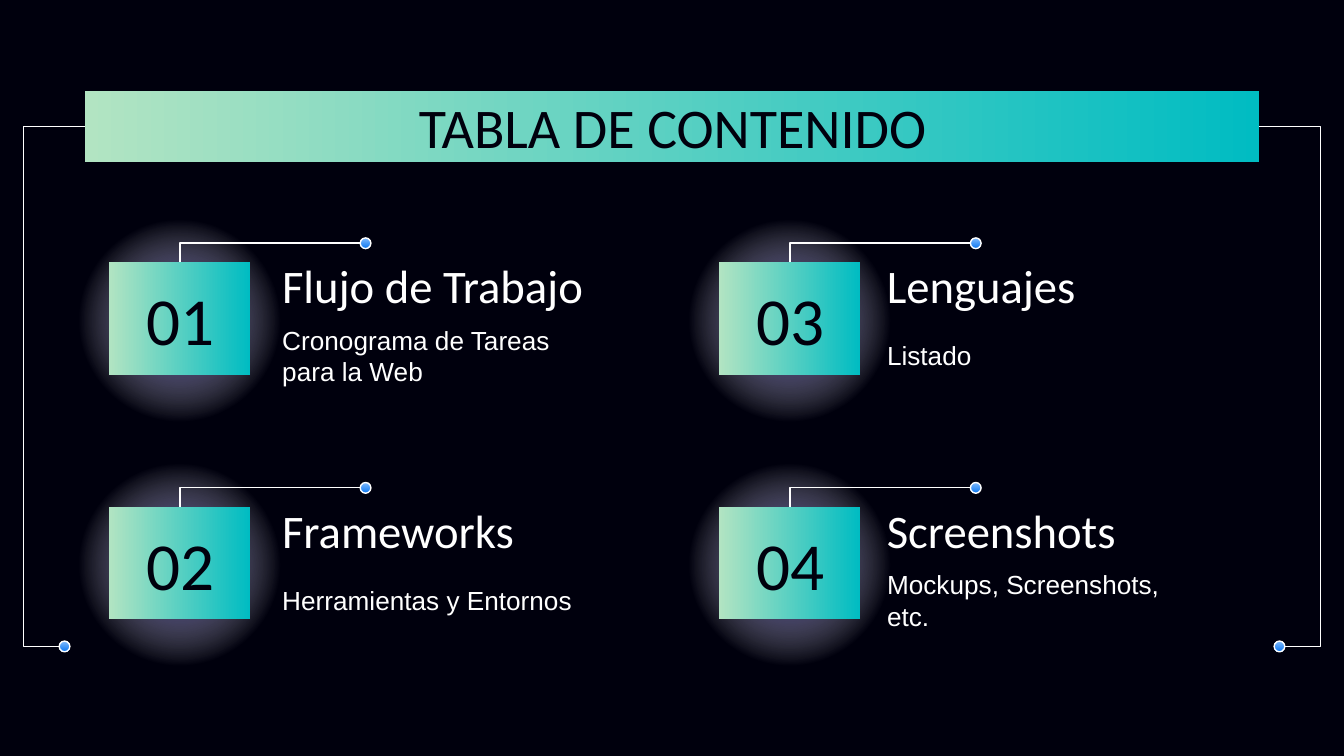
from lxml import etree
from pptx import Presentation
from pptx.dml.color import RGBColor
from pptx.enum.shapes import MSO_CONNECTOR as Connector, MSO_SHAPE as Shape
from pptx.enum.text import MSO_ANCHOR as Anchor, MSO_AUTO_SIZE as AutoSize, PP_ALIGN as Align
from pptx.oxml import parse_xml
from pptx.oxml.ns import nsdecls, qn
from pptx.util import Inches, Pt


def rgb(hex_color):
    return RGBColor.from_string(hex_color)


def write(box, text, size=14, font="Arial", color="FFFFFF", align=Align.LEFT,
          anchor=Anchor.MIDDLE):
    frame = box.text_frame
    frame.word_wrap = True
    frame.auto_size = AutoSize.NONE
    frame.vertical_anchor = anchor
    frame.margin_left = frame.margin_right = Inches(0.1)
    frame.margin_top = frame.margin_bottom = Inches(0.1)
    paragraph = frame.paragraphs[0]
    paragraph.text = text
    props = paragraph._p.get_or_add_pPr()
    props.set("marL", "0")
    props.set("indent", "0")
    etree.SubElement(props, qn("a:buNone"))
    paragraph.alignment = align
    paragraph.space_before = Pt(0)
    run_font = paragraph.runs[0].font
    run_font.name, run_font.size, run_font.bold = font, Pt(size), False
    run_font.color.rgb = rgb(color)


class ContentsSlide:
    dark, white = "00000D", "FFFFFF"
    teal, mint = "00BCC2", "B2E4C2"
    dot_top, dot_bottom = "82BCFE", "0C77F1"
    heading_font = "Calibri"
    dot_size = 0.08

    def __init__(self, deck):
        # The Comparison layout has a title and four body placeholders
        self.slide = deck.slides.add_slide(deck.slide_layouts[4])
        self.shapes = self.slide.shapes
        background = self.slide.background.fill
        background.solid()
        background.fore_color.rgb = rgb(self.dark)
        self.title = self.shapes.title
        self.captions = [p for p in self.slide.placeholders
                         if p.placeholder_format.idx in (1, 2, 3, 4)]

    def plain_shape(self, kind, x, y, w, h):
        shape = self.shapes.add_shape(kind, *map(Inches, (x, y, w, h)))
        shape.shadow.inherit = False
        shape.line.fill.background()
        return shape

    def gradient(self, shape, start, end, angle):
        shape.fill.gradient()
        shape.fill.gradient_angle = angle
        for stop, position, color in zip(shape.fill.gradient_stops, (0, 1), (start, end)):
            stop.position = position
            stop.color.rgb = rgb(color)

    def panel(self, x, y, w, h):
        self.gradient(self.plain_shape(Shape.RECTANGLE, x, y, w, h), self.teal, self.mint, 180)

    def glow(self, x, y):
        halo = self.plain_shape(Shape.OVAL, x, y, 1.77, 1.71)
        halo.fill.background()
        clear = f'<a:srgbClr val="{self.white}"><a:alpha val="0"/></a:srgbClr>'
        radial = parse_xml(
            f'<a:gradFill {nsdecls("a")}><a:gsLst>'
            f'<a:gs pos="0"><a:srgbClr val="170F8D"/></a:gs>'
            f'<a:gs pos="61000">{clear}</a:gs><a:gs pos="100000">{clear}</a:gs></a:gsLst>'
            '<a:path path="circle"><a:fillToRect l="50000" t="50000" r="50000" b="50000"/>'
            '</a:path></a:gradFill>')
        props = halo._element.spPr
        props.replace(props.find(qn("a:noFill")), radial)

    def dot(self, x, y):
        """Place a dot whose left edge is x and whose middle is y."""
        size = self.dot_size
        dot = self.plain_shape(Shape.OVAL, x, y - size / 2, size, size)
        self.gradient(dot, self.dot_top, self.dot_bottom, 270)
        dot.line.color.rgb = rgb(self.white)
        dot.line.width = Pt(0.75)

    def elbow(self, start, end):
        line = self.shapes.add_connector(Connector.ELBOW, *map(Inches, (*start, *end)))
        line.line.color.rgb = rgb(self.white)
        line.line.width = Pt(0.75)
        props = line._element.spPr
        etree.SubElement(props, qn("a:effectLst"))
        return props

    def corner(self, start, end):
        self.elbow(start, end).find(qn("a:prstGeom")).set("prst", "bentConnector2")

    def bracket(self, start, end):
        # Half a turn puts the overshooting bend outside the slide content
        props = self.elbow(end, start)
        props.find(qn("a:xfrm")).set("rot", "10800000")
        guides = props.find(qn("a:prstGeom")).get_or_add_avLst()
        etree.SubElement(guides, qn("a:gd"), name="adj1", fmla="val -139300")

    def label(self, text, x, y, w, h, **style):
        box = self.shapes.add_textbox(*map(Inches, (x, y, w, h)))
        write(box, text, font=self.heading_font, **style)

    def placeholder(self, holder, text, x, y, w, h, **style):
        holder.left, holder.top, holder.width, holder.height = map(Inches, (x, y, w, h))
        write(holder, text, **style)
        self.shapes._spTree.append(holder._element)  # bring to front

    def topic(self, number, heading, caption, holder, x, y, text_x):
        """Draw one numbered topic; x and y are the corner of its tile."""
        self.glow(x - 0.36, y - 0.42)
        self.panel(x, y, 1.05, 0.84)
        self.label(number, x + 0.09, y + 0.13, 0.88, 0.58, size=36, color=self.dark,
                   align=Align.CENTER)
        self.label(heading, text_x, y - 0.12, 3.08, 0.58, size=25)
        self.placeholder(holder, caption, text_x, y + 0.43, 2.42, 0.53)
        dot_x, line_y = x + 1.87, y - 0.14
        self.corner((dot_x, line_y), (x + 0.53, y))
        self.dot(dot_x, line_y)


TOPICS = [
    ("Flujo de Trabajo", "Cronograma de Tareas para la Web"),
    ("Frameworks", "Herramientas y Entornos"),
    ("Lenguajes", "Listado"),
    ("Screenshots", "Mockups, Screenshots, etc."),
]
COLUMNS = [(0.81, 2), (5.35, 6.5)]  # tile left, text left
FIRST_ROW, ROW_STEP = 1.95, 1.82


def main():
    deck = Presentation()
    deck.slide_width = Inches(10)
    deck.slide_height = deck.slide_width * 9 // 16
    contents = ContentsSlide(deck)

    # Topics, down each column in turn
    for i, ((heading, caption), holder) in enumerate(zip(TOPICS, contents.captions)):
        column, row = divmod(i, 2)
        tile_x, text_x = COLUMNS[column]
        contents.topic(f"{i + 1:02}", heading, caption, holder,
                       tile_x, FIRST_ROW + row * ROW_STEP, text_x)

    # Side brackets joined to the banner
    for dot_x, line_x, banner_x in ((0.44, 0.44, 0.63), (9.48, 9.56, 9.37)):
        contents.bracket((line_x, 4.81), (banner_x, 0.94))
        contents.dot(dot_x, 4.81)

    # Title banner
    contents.panel(0.63, 0.68, 8.74, 0.53)
    contents.placeholder(contents.title, "TABLA DE CONTENIDO", 0.79, 0.59, 8.43, 0.63,
                         size=30, font=contents.heading_font, color=contents.dark,
                         align=Align.CENTER, anchor=Anchor.TOP)

    deck.save("out.pptx")


if __name__ == "__main__":
    main()
